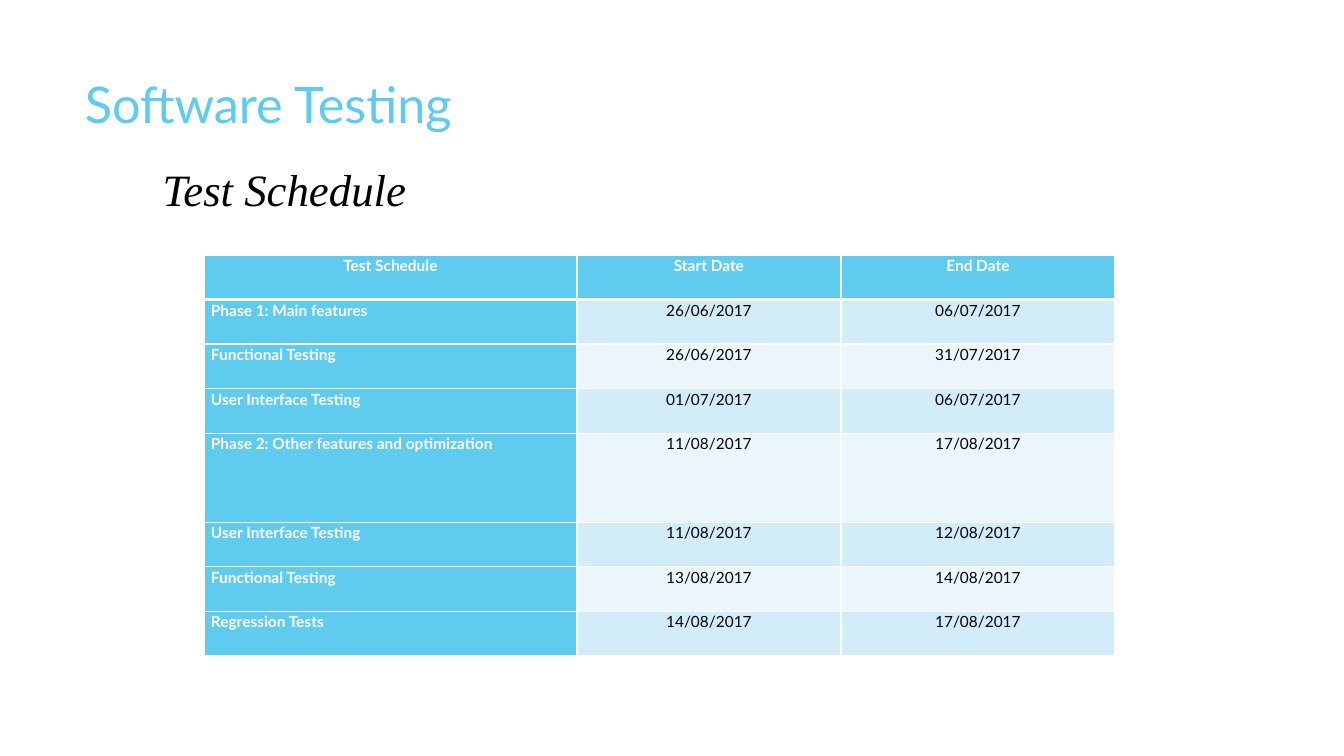
from lxml import etree
from pptx import Presentation
from pptx import util as u
from pptx.dml.color import RGBColor
from pptx.enum import text
from pptx.oxml.ns import qn

theme = {
    "sky": "5FCBEF", "pale": "D2ECF9", "mist": "EAF6FC",
    "white": "FFFFFF", "black": "000000",
    "sans": "Lato", "serif": "Times New Roman",
    "title": 36, "sub": 32, "cell": 11,
}
left, mid = text.PP_ALIGN.LEFT, text.PP_ALIGN.CENTER


def px(n):
    return u.Emu(round(n * 914400 / 100.8))


def write(frame, words, align, color, **font):
    para = frame.paragraphs[0]
    para.alignment = align
    run = para.add_run()
    run.text = words
    for key, value in font.items():
        setattr(run.font, key, value)
    run.font.color.rgb = RGBColor.from_string(theme[color])
    return para


deck = Presentation()
deck.slide_width, deck.slide_height = px(1344), px(756)
slide = deck.slides.add_slide(deck.slide_layouts[6])

heads = [
    ("Software Testing", (75, 68, 948, 145), left, "sky",
     {"name": theme["sans"], "size": u.Pt(theme["title"])}),
    ("Test Schedule", (75, 157, 419, 64), mid, "black",
     {"name": theme["serif"], "size": u.Pt(theme["sub"]), "italic": True}),
]
for words, place, align, color, font in heads:
    frame = slide.shapes.add_textbox(*map(px, place)).text_frame
    frame.word_wrap = True
    write(frame, words, align, color, **font)

rows = [
    ("Test Schedule", "Start Date", "End Date"),
    ("Phase 1: Main features", "26/06/2017", "06/07/2017"),
    ("Functional Testing", "26/06/2017", "31/07/2017"),
    ("User Interface Testing", "01/07/2017", "06/07/2017"),
    ("Phase 2: Other features and optimization", "11/08/2017", "17/08/2017"),
    ("User Interface Testing", "11/08/2017", "12/08/2017"),
    ("Functional Testing", "13/08/2017", "14/08/2017"),
    ("Regression Tests", "14/08/2017", "17/08/2017"),
]
widths = [373, 264, 274]
spans = [1, 1, 1, 1, 2, 1, 1, 1]
high = 401
table = slide.shapes.add_table(
    len(rows), len(widths), px(204), px(255), px(sum(widths)), px(high)).table
for col, wide in zip(table.columns, widths):
    col.width = px(wide)
for row, span in zip(table.rows, spans):
    row.height = px(high * span / sum(spans))

inset = {"margin_left": px(7), "margin_right": px(7),
         "margin_top": 0, "margin_bottom": 0}
for r, row in enumerate(rows):
    for c, words in enumerate(row):
        cell = table.cell(r, c)
        for key, value in inset.items():
            setattr(cell, key, value)
        head = r == 0 or c == 0
        fill = "sky" if head else "pale" if r % 2 else "mist"
        cell.fill.solid()
        cell.fill.fore_color.rgb = RGBColor.from_string(theme[fill])
        para = write(
            cell.text_frame, words, left if r and c == 0 else mid,
            "white" if head else "black", name=theme["sans"],
            size=u.Pt(theme["cell"]), bold=head)
        para.line_spacing = 1.07
        props = cell._tc.get_or_add_tcPr()
        for i, side in enumerate("LRTB"):
            thick = (r, side) in [(0, "B"), (1, "T")]
            line = etree.Element(qn("a:ln" + side), w=str(u.Pt(3 if thick else 1)))
            paint = etree.SubElement(line, qn("a:solidFill"))
            etree.SubElement(paint, qn("a:srgbClr"), val=theme["white"])
            props.insert(i, line)

deck.save("out.pptx")
